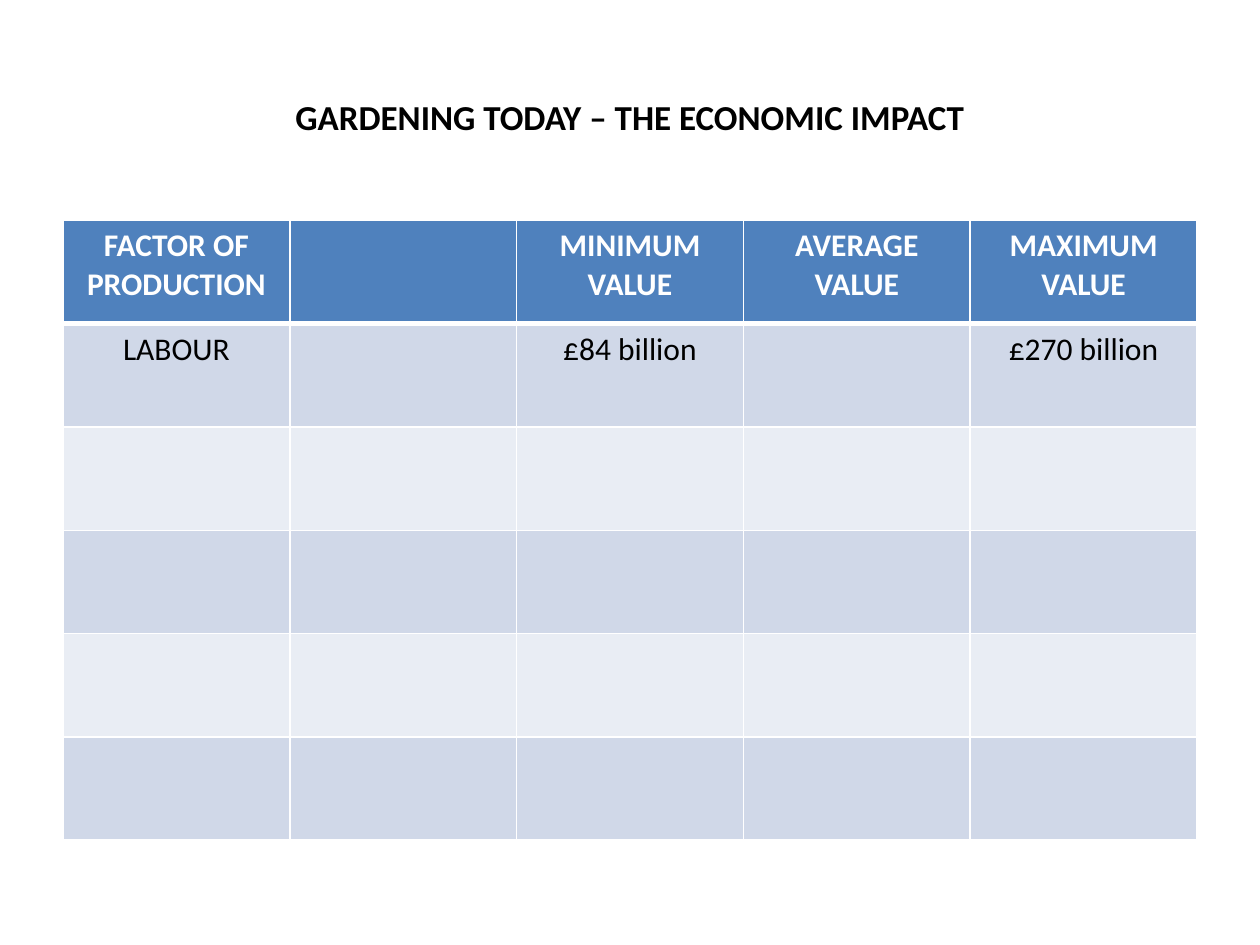
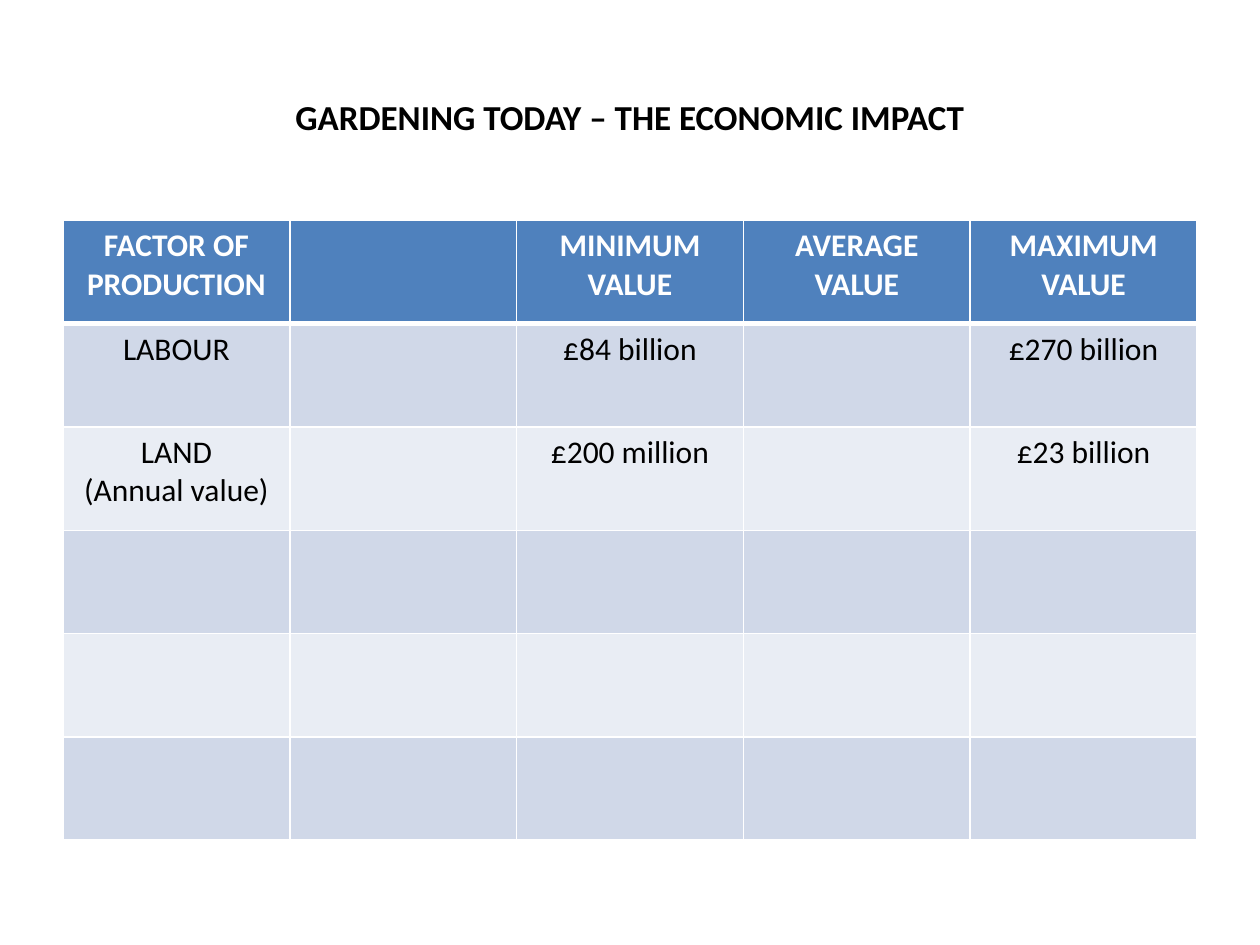
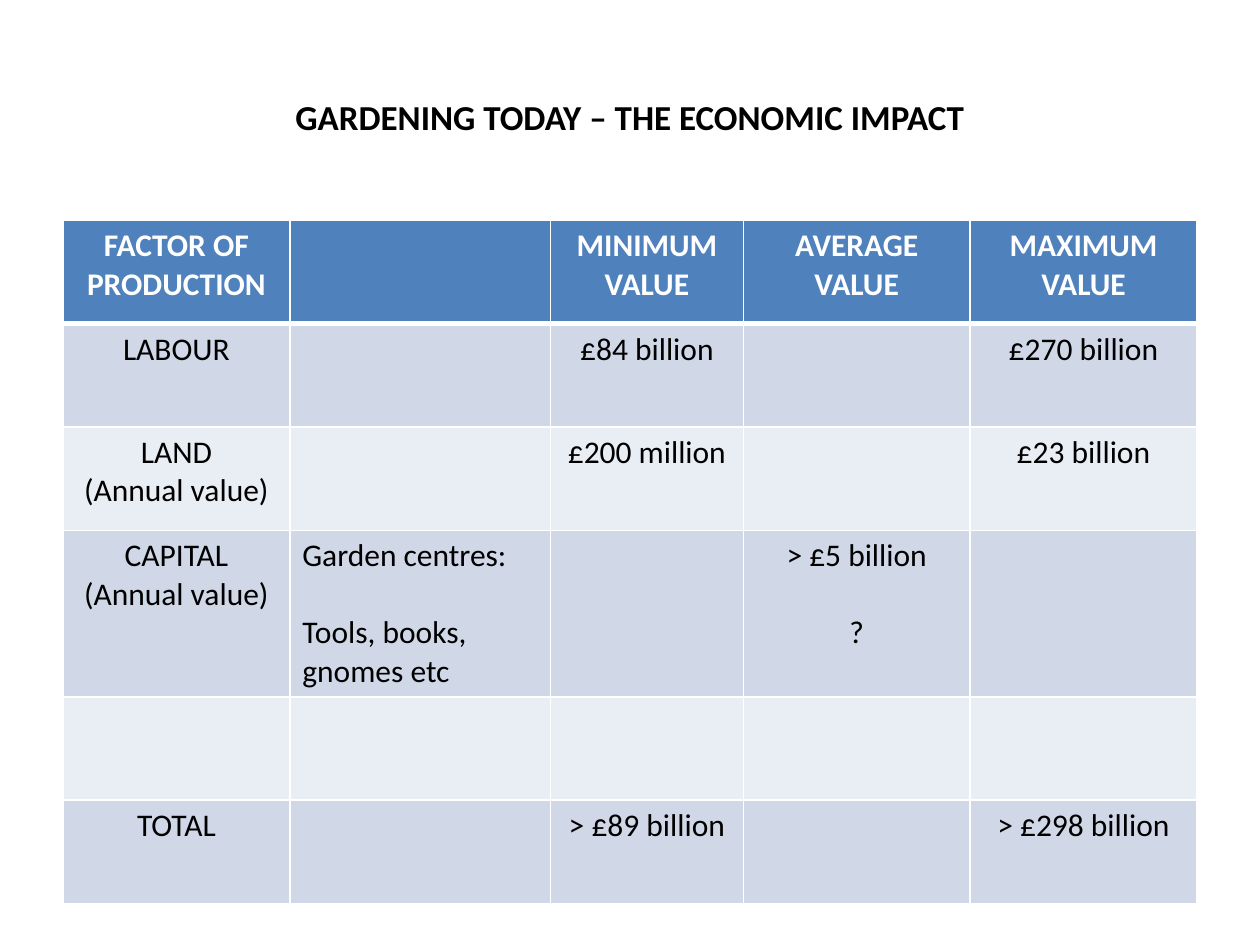
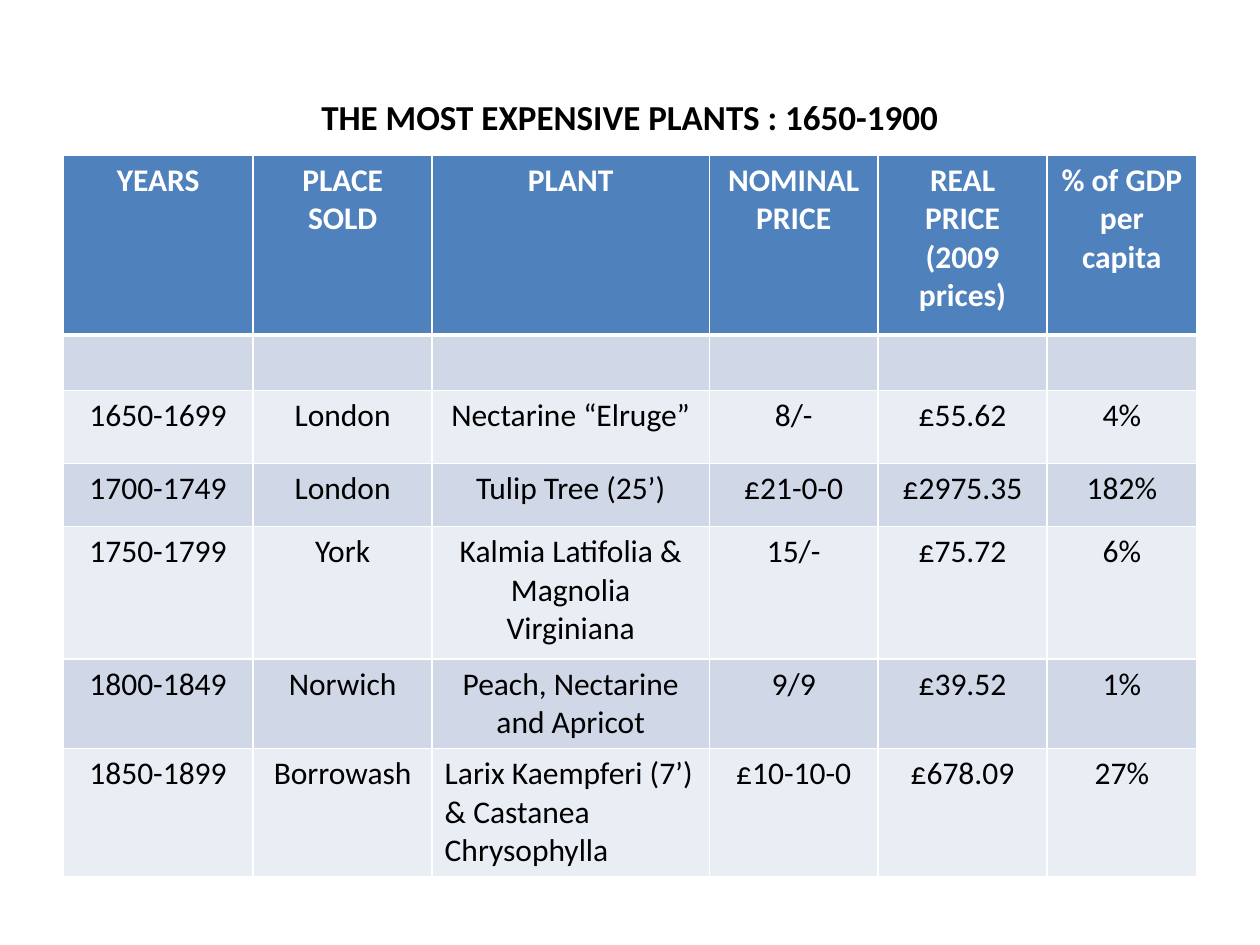
"""Build four slides of tables on the economics of gardening."""
import pptx
import pptx.dml.color
import pptx.enum.text
import pptx.oxml
import pptx.oxml.ns
import pptx.util

Inches = pptx.util.Inches
Pt = pptx.util.Pt
RGBColor = pptx.dml.color.RGBColor
Align = pptx.enum.text.PP_ALIGN

BLACK = RGBColor(0x00, 0x00, 0x00)
WHITE = RGBColor(0xFF, 0xFF, 0xFF)
HEADER_BLUE = RGBColor(0x4F, 0x81, 0xBD)
BANDS = (RGBColor(0xE9, 0xED, 0xF4), RGBColor(0xD0, 0xD8, 0xE8))
FONT = "Calibri"
TITLE_SIZE = Pt(20)
CELL_SIZE = Pt(18)
BLANK_LINE = Pt(22)

IMPACT_TITLE = "GARDENING TODAY – THE ECONOMIC IMPACT"
FACTOR_HEADINGS = ("FACTOR OF PRODUCTION", "", "MINIMUM\nVALUE", "AVERAGE VALUE", "MAXIMUM VALUE")
LABOUR = ("LABOUR", "", "£84 billion", "", "£270 billion")
LAND = ("LAND\n(Annual value)", "", "£200 million", "", "£23 billion")
CAPITAL = ("CAPITAL\n(Annual value)", "Garden centres:\n\nTools, books, gnomes etc", "",
           "> £5 billion\n\n?", "")
TOTAL = ("TOTAL", "", "> £89 billion", "", "> £298 billion")
NO_FACTOR = ("",) * len(FACTOR_HEADINGS)
EVEN_COLUMNS = (1.8,) * 5
EVEN_ROWS = (0.82,) * 6

PLANTS = (
    ("YEARS", "PLACE SOLD", "PLANT", "NOMINAL PRICE", "REAL PRICE\n(2009 prices)", "% of GDP per capita"),
    ("",) * 6,
    ("1650-1699", "London", "Nectarine “Elruge”", "8/-", "£55.62", "4%"),
    ("1700-1749", "London", "Tulip Tree (25’)", "£21-0-0", "£2975.35", "182%"),
    ("1750-1799", "York", "Kalmia Latifolia & Magnolia Virginiana", "15/-", "£75.72", "6%"),
    ("1800-1849", "Norwich", "Peach, Nectarine and Apricot", "9/9", "£39.52", "1%"),
    ("1850-1899", "Borrowash", "Larix Kaempferi (7’) & Castanea Chrysophylla", "£10-10-0", "£678.09", "27%"),
)


class Deck:
    """Holds the shared style and the current slide."""

    def __init__(self):
        self.presentation = pptx.Presentation()
        self.presentation.slide_width = Inches(10)
        self.presentation.slide_height = Inches(7.5)
        self.slide = None

    def style(self, paragraph, size, colour, bold, alignment=Align.CENTER):
        """Set the alignment and font of a paragraph."""
        paragraph.alignment = alignment
        font = paragraph.font
        font.name, font.size, font.bold = FONT, size, bold
        font.color.rgb = colour

    def start_slide(self, heading):
        """Add a slide with its title."""
        self.slide = self.presentation.slides.add_slide(self.presentation.slide_layouts[5])
        title = self.slide.shapes.title
        title.left, title.top = Inches(0.5), Inches(0.3)
        title.width, title.height = Inches(9), Inches(1.25)
        title.text_frame.text = heading
        self.style(title.text_frame.paragraphs[0], TITLE_SIZE, BLACK, True)

    def border(self, cell, row):
        """Draw white cell edges, thicker below the header."""
        widths = {"L": 1, "R": 1, "T": 3 if row == 1 else 1, "B": 3 if row == 0 else 1}
        properties = cell._tc.get_or_add_tcPr()
        for side, width in widths.items():
            properties.append(pptx.oxml.parse_xml(
                f'<a:ln{side} {pptx.oxml.ns.nsdecls("a")} w="{Pt(width)}"><a:solidFill>'
                f'<a:srgbClr val="{WHITE}"/></a:solidFill></a:ln{side}>'))

    def cell_text(self, cell, text, header, alignment):
        """Fill a cell with lines, an empty line becoming space before the next."""
        blocks = [block.split("\n") for block in text.split("\n\n")]
        cell.text = "\n".join(line for block in blocks for line in block)
        for paragraph in cell.text_frame.paragraphs:
            self.style(paragraph, CELL_SIZE, WHITE if header else BLACK, header, alignment)
        start = 0
        for block in blocks[:-1]:
            start += len(block)
            cell.text_frame.paragraphs[start].space_before = BLANK_LINE

    def table(self, top, widths, heights, content, left_aligned=()):
        """Add a banded table; left_aligned lists (row, column) pairs."""
        table = self.slide.shapes.add_table(
            len(heights), len(widths), Inches(0.5), Inches(top),
            Inches(sum(widths)), Inches(sum(heights))).table
        for column, width in zip(table.columns, widths):
            column.width = Inches(width)
        for row, (height, texts) in enumerate(zip(heights, content)):
            table.rows[row].height = Inches(height)
            for column, text in enumerate(texts):
                cell = table.cell(row, column)
                self.border(cell, row)
                cell.fill.solid()
                cell.fill.fore_color.rgb = BANDS[row % 2] if row else HEADER_BLUE
                alignment = Align.LEFT if (row, column) in left_aligned else Align.CENTER
                self.cell_text(cell, text, row == 0, alignment)

    def impact_slide(self, factors, widths=EVEN_COLUMNS, heights=EVEN_ROWS, left_aligned=()):
        """Add an economic impact slide, leaving unused rows empty."""
        self.start_slide(IMPACT_TITLE)
        rows = [FACTOR_HEADINGS, *factors]
        rows += [NO_FACTOR] * (len(heights) - len(rows))
        self.table(1.75, widths, heights, rows, left_aligned)


def main():
    """Build and save the deck."""
    deck = Deck()
    deck.impact_slide([LABOUR])
    deck.impact_slide([LABOUR, LAND])
    deck.impact_slide([LABOUR, LAND, CAPITAL, NO_FACTOR, TOTAL],
                      (1.8, 2.07, 1.53, 1.8, 1.8), (0.82, 0.82, 0.82, 1.29, 0.82, 0.82), {(3, 1)})
    deck.start_slide("THE MOST EXPENSIVE PLANTS : 1650-1900")
    deck.table(1.23, (1.51, 1.42, 2.2, 1.34, 1.34, 1.19),
               (1.43, 0.44, 0.58, 0.5, 1.05, 0.7, 0.98), PLANTS, {(6, 2)})
    deck.presentation.save("out.pptx")


if __name__ == "__main__":
    main()
